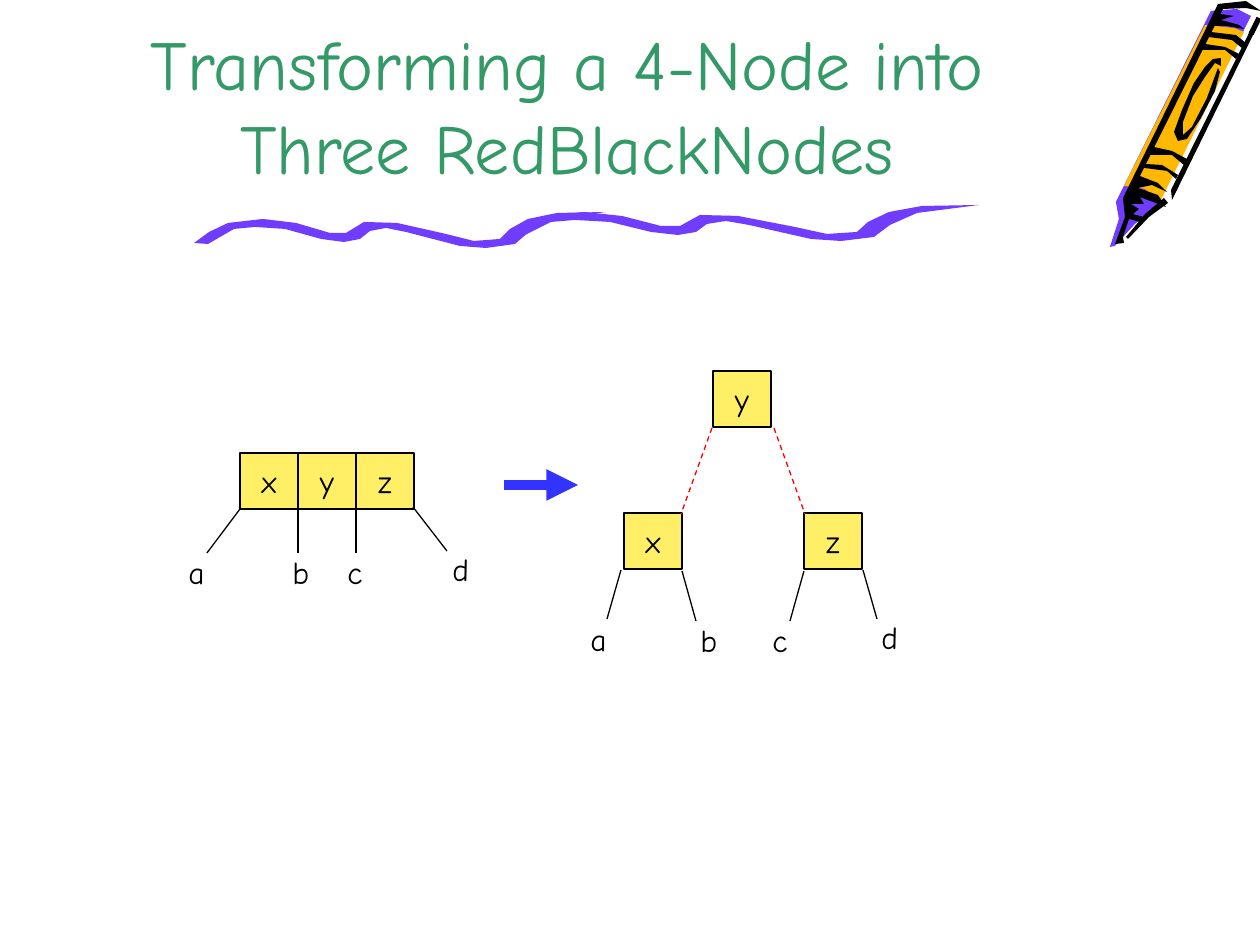
from lxml.etree import SubElement as Sub
from pptx import Presentation
from pptx.dml.color import RGBColor
from pptx.enum.dml import MSO_LINE as Dash
from pptx.enum.shapes import MSO_CONNECTOR as Conn, MSO_SHAPE as Kind
from pptx.enum.text import MSO_ANCHOR as Anchor, PP_ALIGN as Align
from pptx.oxml.ns import qn
from pptx.util import Pt

SCALE = 914400 / 126
BLACK, RED, BLUE = "000000", "FF0000", "3333FF"
YELLOW, GREEN = "FFEF66", "339966"
PURPLE, ORANGE = "703DFF", "FFB800"
NODE_W, NODE_H = 58, 56

CRAYON = [
    (PURPLE, [(1251, 16), (1155, 209), (1135, 224), (1115, 246), (1110, 247),
              (1119, 219), (1116, 202), (1211, 11), (1237, 9)]),
    (ORANGE, [(1160, 202), (1145, 189), (1124, 186), (1205, 25), (1234, 28),
              (1244, 32)]),
    # tip, cap, oval and right edge
    (BLACK, [(1168, 203), (1149, 217), (1128, 239), (1126, 237), (1145, 214),
             (1164, 198)]),
    (BLACK, [(1244, 29), (1226, 26), (1211, 26), (1220, 14), (1234, 16),
             (1221, 20), (1239, 25)]),
    (BLACK, [(1220, 72), (1215, 91), (1201, 118), (1187, 139), (1178, 141),
             (1174, 132), (1182, 110), (1194, 83), (1205, 67), (1213, 59),
             (1221, 58), (1221, 66), (1215, 63), (1205, 77), (1193, 96),
             (1183, 122), (1183, 135), (1192, 127), (1207, 98), (1218, 68)]),
    (BLACK, [(1256, 29), (1172, 200), (1171, 190), (1251, 29)]),
    # outline
    (BLACK, [(1166, 207), (1158, 195), (1138, 188), (1152, 185), (1167, 192),
             (1158, 183), (1140, 176), (1223, 9), (1246, 8), (1261, 11),
             (1246, 1), (1218, 4), (1123, 198), (1125, 217), (1115, 244),
             (1124, 243), (1123, 237), (1129, 219), (1140, 222), (1147, 218),
             (1133, 214), (1139, 209), (1131, 204), (1144, 204), (1140, 197)]),
    # rings
    (BLACK, [(1176, 179), (1167, 171), (1144, 168), (1145, 164), (1162, 165),
             (1178, 175)]),
    (BLACK, [(1184, 165), (1172, 155), (1150, 155), (1154, 147), (1172, 151),
             (1187, 159)]),
    (BLACK, [(1236, 59), (1225, 50), (1201, 50), (1205, 44), (1225, 47),
             (1239, 54)]),
    (BLACK, [(1242, 48), (1232, 40), (1208, 37), (1211, 32), (1236, 35),
             (1246, 43)]),
]
WAVE = [(208, 244), (234, 229), (255, 227), (285, 229), (321, 239), (344, 242),
        (360, 239), (370, 231), (386, 228), (406, 232), (460, 246), (486, 248),
        (515, 244), (529, 232), (552, 220), (606, 212), (557, 213), (528, 219),
        (510, 229), (500, 239), (474, 241), (446, 234), (397, 223), (364, 222),
        (346, 233), (330, 233), (296, 223), (263, 219), (228, 223), (209, 232),
        (194, 243)]
NODES = [("x", 240, 453), ("y", 298, 453), ("z", 356, 453),
         ("y", 713, 371), ("x", 624, 513), ("z", 804, 513)]
LINKS = [(240, 509, 207, 553), (298, 509, 298, 553), (356, 509, 356, 553),
         (413, 507, 447, 551), (621, 570, 607, 619), (682, 571, 696, 621),
         (804, 571, 790, 621), (863, 570, 877, 619)]
RED_LINKS = [(712, 428, 681, 514), (774, 428, 805, 514)]
LABELS = [("a", 176, 547), ("b", 280, 547), ("c", 335, 547), ("d", 440, 544),
          ("a", 578, 614), ("b", 688, 615), ("c", 760, 615), ("d", 869, 612)]


def px(n):
    return round(n * SCALE)


def color(code):
    return RGBColor.from_string(code)


class Board:
    """Holds the text style and the slide being drawn."""

    def __init__(self, slide, face="Comic Neue", size=18):
        self.slide, self.shapes = slide, slide.shapes
        self.face, self.size = face, size

    def text(self, shape, words, align, size=None, ink=BLACK):
        frame = shape.text_frame
        frame.text = words
        para = frame.paragraphs[0]
        para.alignment = align
        font = para.runs[0].font
        font.name, font.size = self.face, Pt(size or self.size)
        font.color.rgb = color(ink)
        return frame

    def title(self, words, *box):
        shape = self.shapes.title
        shape.left, shape.top, shape.width, shape.height = map(px, box)
        frame = self.text(shape, words, Align.CENTER, 40, GREEN)
        frame.vertical_anchor = Anchor.BOTTOM
        frame.word_wrap = True

    def shape(self, points, fill):
        pen = self.shapes.build_freeform(*points[0], scale=SCALE)
        pen.add_line_segments(points[1:], close=True)
        item = pen.convert_to_shape()
        item.shadow.inherit = False
        item.fill.solid()
        item.fill.fore_color.rgb = color(fill)
        item.line.fill.background()

    def node(self, words, x, y):
        box = self.shapes.add_shape(Kind.RECTANGLE,
                                    *map(px, (x, y, NODE_W, NODE_H)))
        box.shadow.inherit = False
        box.fill.solid()
        box.fill.fore_color.rgb = color(YELLOW)
        box.line.color.rgb = color(BLACK)
        box.line.width = Pt(0.75)
        frame = self.text(box, words, Align.CENTER)
        frame.vertical_anchor = Anchor.MIDDLE
        frame.word_wrap = False

    def label(self, words, x, y):
        box = self.shapes.add_textbox(*map(px, (x, y, 38, 50)))
        self.text(box, words, Align.LEFT).word_wrap = True

    def line(self, ends, ink=BLACK, width=0.75, dash=None, arrow=False):
        link = self.shapes.add_connector(Conn.STRAIGHT, *map(px, ends))
        link.line.color.rgb = color(ink)
        link.line.width = Pt(width)
        if dash:
            link.line.dash_style = dash
        props = link._element.spPr
        if arrow:
            Sub(props.find(qn("a:ln")), qn("a:tailEnd"), type="triangle")
        Sub(props, qn("a:effectLst"))


def main():
    deck = Presentation()
    deck.slide_width, deck.slide_height = px(1260), px(945)
    board = Board(deck.slides.add_slide(deck.slide_layouts[5]))

    for fill, points in CRAYON:
        board.shape(points, fill)
    board.line((1259, 18, 1251, 34), width=3)
    board.shape(WAVE, PURPLE)
    wide = [(round(505 + (x - 194) * 1.15), y - 7) for x, y in WAVE]
    board.shape(wide, PURPLE)
    board.title("Transforming a 4-Node into Three RedBlackNodes",
                94, 0, 946, 195)

    for node in NODES:
        board.node(*node)
    for ends in LINKS:
        board.line(ends)
    for ends in RED_LINKS:
        board.line(ends, RED, dash=Dash.DASH)
    board.line((504, 485, 578, 485), BLUE, 6, arrow=True)
    for label in LABELS:
        board.label(*label)
    deck.save("out.pptx")


if __name__ == "__main__":
    main()
